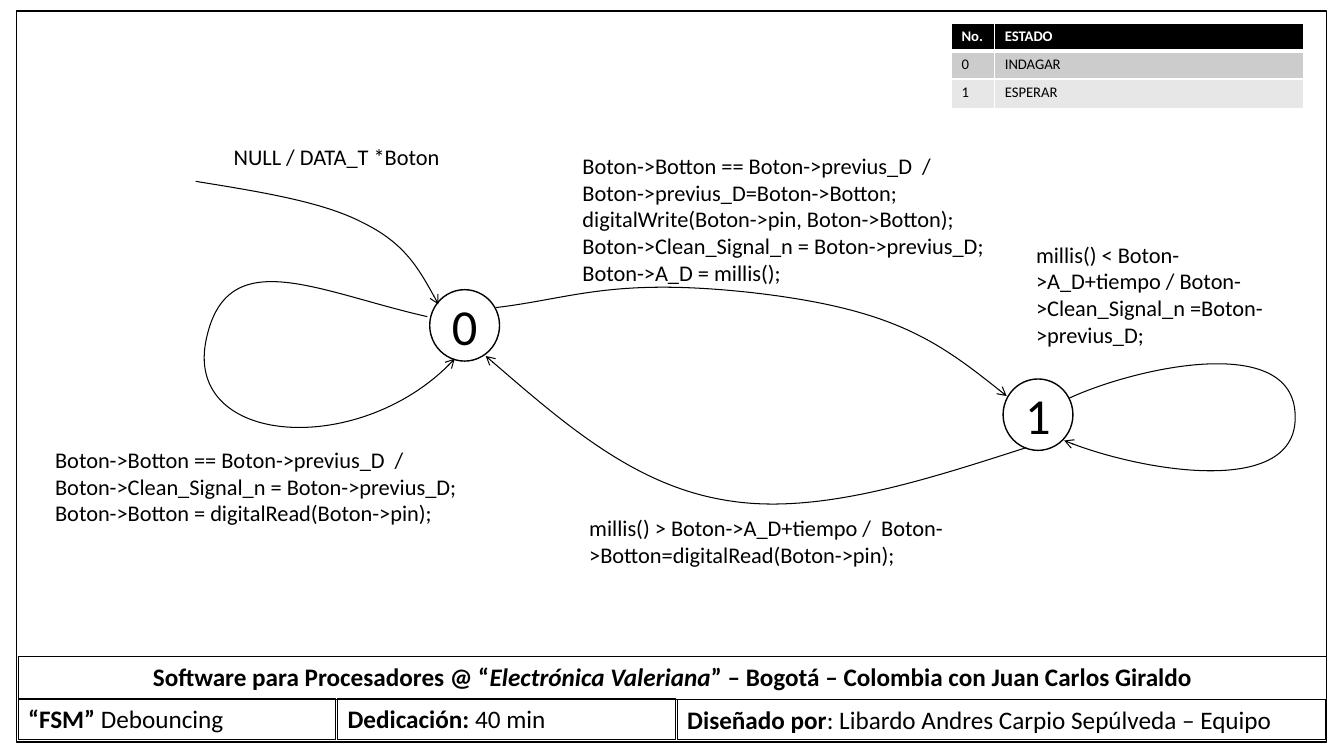
"""Build the state diagram slide of a button debouncing machine."""
from dataclasses import dataclass
from typing import Optional

from lxml.etree import SubElement
from pptx import Presentation
from pptx.dml.color import RGBColor
from pptx.enum.shapes import MSO_SHAPE
from pptx.enum.text import MSO_ANCHOR, MSO_AUTO_SIZE, PP_ALIGN
from pptx.oxml.ns import qn
from pptx.util import Cm, Pt

COLORS = {"ink": "000000", "paper": "FFFFFF", "odd_row": "CCCCCC", "even_row": "E7E7E7"}
FONT = "Calibri"
CURVE_STEPS = 40


@dataclass
class Span:
    text: str
    bold: bool = False
    italic: bool = False


@dataclass
class Box:
    left: float
    top: float
    width: float
    height: float
    paragraphs: list[list[Span]]
    size: float = 18
    line: Optional[float] = None
    fill: Optional[str] = None
    geometry: MSO_SHAPE = MSO_SHAPE.RECTANGLE
    align: PP_ALIGN = PP_ALIGN.LEFT
    anchor: MSO_ANCHOR = MSO_ANCHOR.TOP


@dataclass
class Transition:
    points: list[tuple[float, float]]


def label(left: float, top: float, width: float, height: float, *lines: str) -> Box:
    return Box(left, top, width, height, [[Span(line)] for line in lines], size=16)


def state(left: float, top: float, number: str) -> Box:
    return Box(left, top, 1.76, 1.8, [[Span(number)]], 36, 1, "paper",
               MSO_SHAPE.FLOWCHART_CONNECTOR, PP_ALIGN.CENTER, MSO_ANCHOR.MIDDLE)


FRAME = [
    Box(0.41, 0.28, 33.02, 18.42, [], line=1),
    Box(8.51, 17.6, 8.51, 1.04, [[Span("Dedicación: ", True), Span("40 min")]], line=0.25),
    Box(0.46, 16.54, 32.97, 1.09,
        [[Span("Software para Procesadores @ “", True),
          Span("Electrónica Valeriana", True, True),
          Span("” – Bogotá – Colombia con Juan Carlos Giraldo", True)]],
        line=0.25, align=PP_ALIGN.CENTER),
    Box(0.46, 17.6, 8, 1.04, [[Span("“FSM” ", True), Span("Debouncing")]], line=0.25),
    Box(17.07, 17.62, 16.33, 1.02,
        [[Span("Diseñado por", True), Span(": Libardo Andres Carpio Sepúlveda – Equipo")]],
        line=0.75),
]
STATES = [state(10.83, 7.3, "0"), state(25.28, 9.55, "1")]
TRANSITIONS = [
    Transition([(4.93, 4.57), (6.53, 4.83), (8.13, 5.08), (9.14, 5.61),
                (10.19, 6.12), (10.62, 6.88), (11.05, 7.67)]),
    Transition([(10.77, 7.98), (7.95, 7.34), (5.66, 6.07), (5.18, 8.64),
                (4.72, 11.23), (9.17, 11.53), (11.46, 9.04)]),
    Transition([(12.5, 7.75), (14.43, 7.52), (15.42, 6.99), (18.92, 7.37),
                (22.43, 7.77), (23.65, 8.59), (25.37, 9.98)]),
    Transition([(26.95, 10.03), (28.65, 9.25), (32.59, 8.38), (32.64, 10.46),
                (32.72, 12.52), (28.65, 11.86), (26.82, 11.1)]),
    Transition([(25.86, 11.28), (23.19, 12.14), (20.52, 13), (18.26, 12.6),
                (15.98, 12.22), (14.12, 10.59), (12.24, 8.97)]),
]
LABELS = [
    label(5.64, 3.48, 8.71, 0.94, "NULL / DATA_T *Boton"),
    label(1.14, 11.11, 12.19, 3, "Boton->Botton == Boton->previus_D  /",
          "Boton->Clean_Signal_n = Boton->previus_D;",
          "Boton->Botton = digitalRead(Boton->pin);"),
    label(25.86, 5.94, 7.57, 3,
          "millis() < Boton->A_D+tiempo / Boton->Clean_Signal_n =Boton->previus_D;"),
    label(14.6, 12.83, 9.86, 1.63,
          "millis() > Boton->A_D+tiempo /  Boton->Botton=digitalRead(Boton->pin);"),
    label(14.43, 3.7, 12.19, 4.37, "Boton->Botton == Boton->previus_D  /",
          "Boton->previus_D=Boton->Botton;",
          "digitalWrite(Boton->pin, Boton->Botton);",
          "Boton->Clean_Signal_n = Boton->previus_D;",
          "Boton->A_D = millis();"),
]
STATE_ROWS = [("No.", "ESTADO"), ("0", "INDAGAR"), ("1", "ESPERAR")]
ROW_FILLS = ["ink", "odd_row", "even_row"]
ROW_HEIGHTS = [0.69, 0.71, 0.75]


def rgb(name: str) -> RGBColor:
    return RGBColor.from_string(COLORS[name])


def add_span(paragraph, span: Span, size: float, color: str = "ink") -> None:
    run = paragraph.add_run()
    run.text = span.text
    run.font.name = FONT
    run.font.size = Pt(size)
    run.font.bold = span.bold
    run.font.italic = span.italic
    run.font.color.rgb = rgb(color)


def write_text(text_frame, box: Box) -> None:
    text_frame.word_wrap = True
    text_frame.vertical_anchor = box.anchor
    if box.anchor == MSO_ANCHOR.TOP:
        text_frame.auto_size = MSO_AUTO_SIZE.SHAPE_TO_FIT_TEXT
    for index, spans in enumerate(box.paragraphs):
        paragraph = text_frame.add_paragraph() if index else text_frame.paragraphs[0]
        paragraph.alignment = box.align
        for span in spans:
            add_span(paragraph, span, box.size)


def style_outline(shape, width: float, fill: Optional[str] = None) -> None:
    shape.shadow.inherit = False
    shape.line.color.rgb = rgb("ink")
    shape.line.width = Pt(width)
    if fill:
        shape.fill.solid()
        shape.fill.fore_color.rgb = rgb(fill)
    else:
        shape.fill.background()


def draw_box(slide, box: Box) -> None:
    place = [Cm(length) for length in (box.left, box.top, box.width, box.height)]
    if box.line is None:
        shape = slide.shapes.add_textbox(*place)
    else:
        shape = slide.shapes.add_shape(box.geometry, *place)
        style_outline(shape, box.line, box.fill)
    if box.paragraphs:
        write_text(shape.text_frame, box)


def curve_range(values: list[float]) -> tuple[int, int]:
    samples = []
    for start in range(0, len(values) - 1, 3):
        a, b, c, d = values[start:start + 4]
        for step in range(CURVE_STEPS + 1):
            t = step / CURVE_STEPS
            u = 1 - t
            samples.append(a * u ** 3 + 3 * b * t * u ** 2 + 3 * c * t ** 2 * u + d * t ** 3)
    return Cm(min(samples)), Cm(max(samples))


def draw_transition(slide, transition: Transition) -> None:
    points = [(Cm(x), Cm(y)) for x, y in transition.points]
    builder = slide.shapes.build_freeform(*points[0])
    builder.add_line_segments(points[1:], close=False)
    shape = builder.convert_to_shape()
    (left, right), (top, bottom) = map(curve_range, zip(*transition.points))
    shape.left, shape.top = left, top
    shape.width, shape.height = right - left, bottom - top
    outline = next(shape._element.iter(qn("a:path")))
    outline.set("w", str(right - left))
    outline.set("h", str(bottom - top))
    for command in list(outline):
        outline.remove(command)
    for index, (x, y) in enumerate(points):
        if index == 0:
            command = SubElement(outline, qn("a:moveTo"))
        elif index % 3 == 1:
            command = SubElement(outline, qn("a:cubicBezTo"))
        SubElement(command, qn("a:pt"), x=str(x - left), y=str(y - top))
    style_outline(shape, 0.75)
    SubElement(shape.line._get_or_add_ln(), qn("a:tailEnd"), type="arrow")


def add_border(cell, side: str, width: float) -> None:
    border = SubElement(cell._tc.get_or_add_tcPr(), qn(f"a:{side}"), w=str(Pt(width)))
    fill = SubElement(border, qn("a:solidFill"))
    SubElement(fill, qn("a:srgbClr"), val=COLORS["paper"])


def draw_state_table(slide) -> None:
    table = slide.shapes.add_table(3, 2, Cm(23.98), Cm(0.58), Cm(8.87), Cm(2.15)).table
    for column, width in zip(table.columns, (1.09, 7.78)):
        column.width = Cm(width)
    for row_index, (texts, fill) in enumerate(zip(STATE_ROWS, ROW_FILLS)):
        header = row_index == 0
        table.rows[row_index].height = Cm(ROW_HEIGHTS[row_index])
        for column_index, text in enumerate(texts):
            cell = table.cell(row_index, column_index)
            for side in ("lnL", "lnR", "lnT", "lnB"):
                add_border(cell, side, 3 if (side, row_index) in (("lnB", 0), ("lnT", 1)) else 1)
            cell.fill.solid()
            cell.fill.fore_color.rgb = rgb(fill)
            add_span(cell.text_frame.paragraphs[0], Span(text, header), 10.5,
                     "paper" if header else "ink")


def main() -> None:
    presentation = Presentation()
    presentation.slide_width, presentation.slide_height = Cm(33.87), Cm(19.05)
    slide = presentation.slides.add_slide(presentation.slide_layouts[6])
    for box in FRAME + STATES:
        draw_box(slide, box)
    for transition in TRANSITIONS:
        draw_transition(slide, transition)
    draw_state_table(slide)
    for box in LABELS:
        draw_box(slide, box)
    presentation.save("out.pptx")


if __name__ == "__main__":
    main()
